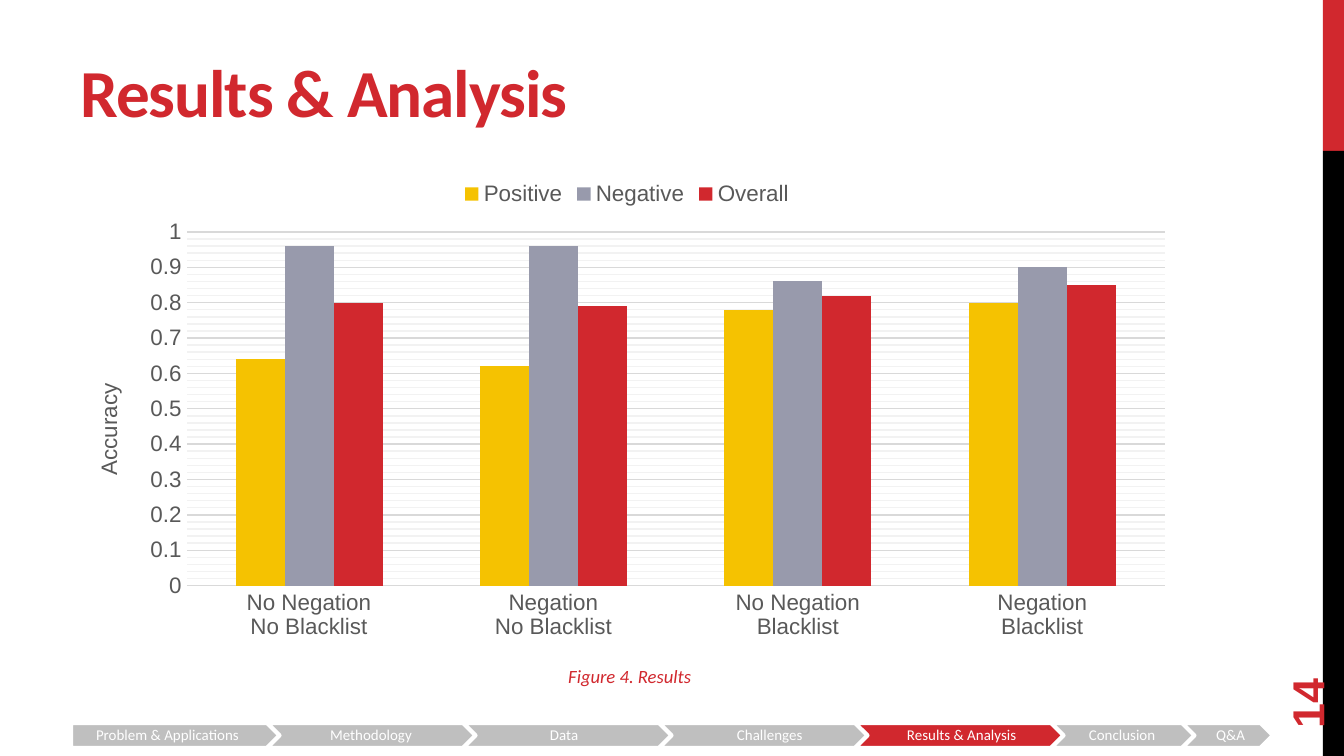
import pptx
import pptx.chart.data
import pptx.dml.color
import pptx.enum.chart
import pptx.enum.shapes
import pptx.enum.text
import pptx.oxml
import pptx.oxml.ns
import pptx.util

PX = 914400 / 134.4
RED, GREY, TEXT, RULE = "D1282E", "BFBFBF", "595959", "D9D9D9"
SHAPE = pptx.enum.shapes.MSO_SHAPE
ANCHOR = pptx.enum.text.MSO_ANCHOR


def px(*values):
    return [round(v * PX) for v in values]


def rgb(value):
    return pptx.dml.color.RGBColor.from_string(value)


prs = pptx.Presentation()
prs.slide_width, prs.slide_height = px(1344, 756)
s = prs.slides.add_slide(prs.slide_layouts[5])

# Side bars
for top, height, color in [(0, 151, RED), (151, 605, "000000")]:
    sp = s.shapes.add_shape(SHAPE.RECTANGLE, *px(1323, top, 21, height))
    sp.shadow.inherit = False
    sp.fill.solid()
    sp.fill.fore_color.rgb = rgb(color)
    sp.line.fill.background()

# Title
title = s.shapes.title
title.left, title.top, title.width, title.height = px(67, -13, 1124, 151)
tf = title.text_frame
tf.vertical_anchor = ANCHOR.BOTTOM
p = tf.paragraphs[0]
p.alignment = pptx.enum.text.PP_ALIGN.LEFT
r = p.add_run()
r.text = "Results & Analysis"
r._r.get_or_add_rPr().set("spc", "-60")
p.font.name, p.font.size, p.font.bold = "Calibri", pptx.util.Pt(36), True
p.font.color.rgb = rgb(RED)

# Slide number and figure caption
for text, box, angle, anchor, font, size, bold, italic in [
    ("14", (1234, 642, 145, 54), 270, ANCHOR.MIDDLE, "Arial", 24, True, False),
    ("Figure 4. Results", (555, 644, 159, 50), 0, ANCHOR.BOTTOM, "Calibri", 10, False, True),
]:
    sp = s.shapes.add_textbox(*px(*box))
    sp.rotation = angle
    tf = sp.text_frame
    tf.word_wrap = True
    tf.vertical_anchor = anchor
    p = tf.paragraphs[0]
    p.text = text
    p.font.name, p.font.size = font, pptx.util.Pt(size)
    p.font.bold, p.font.italic = bold, italic
    p.font.color.rgb = rgb(RED)

# Accuracy chart
series = [
    ("Positive", (0.64, 0.62, 0.78, 0.8), "F5C201"),
    ("Negative", (0.96, 0.96, 0.86, 0.9), "989AAC"),
    ("Overall", (0.8, 0.79, 0.82, 0.85), RED),
]
data = pptx.chart.data.CategoryChartData()
data.categories = ["No Negation\nNo Blacklist", "Negation\nNo Blacklist",
                   "No Negation\nBlacklist", "Negation\nBlacklist"]
for name, values, color in series:
    data.add_series(name, values)
chart = s.shapes.add_chart(pptx.enum.chart.XL_CHART_TYPE.COLUMN_CLUSTERED,
                           *px(67, 167, 1120, 482), data).chart
chart.has_title = False
chart.font.name, chart.font.size = "Arial", pptx.util.Pt(12)
chart.font.color.rgb = rgb(TEXT)
chart.has_legend = True
chart.legend.position = pptx.enum.chart.XL_LEGEND_POSITION.TOP
chart.legend.include_in_layout = False

plot = chart.plots[0]
plot.gap_width, plot.overlap, plot.vary_by_categories = 199, 0, False
for ser, (name, values, color) in zip(plot.series, series):
    ser.format.fill.solid()
    ser.format.fill.fore_color.rgb = rgb(color)

# Axes and gridlines
cat, val = chart.category_axis, chart.value_axis
for axis in (cat, val):
    axis.major_tick_mark = axis.minor_tick_mark = pptx.enum.chart.XL_TICK_MARK.NONE
val.minimum_scale, val.maximum_scale = 0, 1
val.major_unit, val.minor_unit = 0.1, 0.02
val.has_major_gridlines = val.has_minor_gridlines = True
for line in (cat.format.line, val.major_gridlines.format.line):
    line.color.rgb = rgb(RULE)
    line.width = pptx.util.Pt(0.75)
val._element.find(pptx.oxml.ns.qn("c:minorGridlines")).append(pptx.oxml.parse_xml(
    f'<c:spPr {pptx.oxml.ns.nsdecls("c", "a")}><a:ln w="9525"><a:solidFill>'
    '<a:srgbClr val="F2F2F2"/></a:solidFill></a:ln></c:spPr>'))
val.format.line.fill.background()
p = val.axis_title.text_frame.paragraphs[0]
p.text = "Accuracy"
p.font.name, p.font.size, p.font.bold = "Arial", pptx.util.Pt(12), False
p.font.color.rgb = rgb(TEXT)

# Fixed plot area inside the chart frame
area = chart._chartSpace.chart.plotArea
for old in area.findall(pptx.oxml.ns.qn("c:layout")):
    area.remove(old)
area.insert(0, pptx.oxml.parse_xml(
    f'<c:layout {pptx.oxml.ns.nsdecls("c")}><c:manualLayout>'
    '<c:layoutTarget val="inner"/><c:xMode val="edge"/><c:yMode val="edge"/>'
    '<c:x val="0.107"/><c:y val="0.135"/><c:w val="0.873"/><c:h val="0.734"/>'
    '</c:manualLayout></c:layout>'))

# Progress bar: label, step width, label indent
steps = [
    ("Problem & Applications", 246, 13),
    ("Methodology", 246, 51),
    ("Data", 246, 75),
    ("Challenges", 246, 66),
    ("Results & Analysis", 246, 40),
    ("Conclusion", 181, 26),
    ("Q&A", 91, 22),
]
left, top, height, overlap = 71, 723, 25, 50
for i, (label, width, indent) in enumerate(steps):
    kind = SHAPE.CHEVRON if i else SHAPE.PENTAGON
    sp = s.shapes.add_shape(kind, *px(left, top, width, height))
    sp.shadow.inherit = False
    sp.fill.solid()
    sp.fill.fore_color.rgb = rgb(RED if label == "Results & Analysis" else GREY)
    sp.line.color.rgb = rgb("FFFFFF")
    sp.line.width = pptx.util.Pt(2.25)

    tf = s.shapes.add_textbox(*px(left + 12, top, width - 25, height)).text_frame
    tf.word_wrap = True
    tf.vertical_anchor = ANCHOR.MIDDLE
    tf.margin_left, tf.margin_top, tf.margin_right, tf.margin_bottom = px(indent, 3, 1, 3)
    p = tf.paragraphs[0]
    p.text = label
    p.line_spacing = 0.9
    p.font.name, p.font.size = "Calibri", pptx.util.Pt(8)
    p.font.color.rgb = rgb("FFFFFF")
    left += width - overlap

prs.save("out.pptx")
